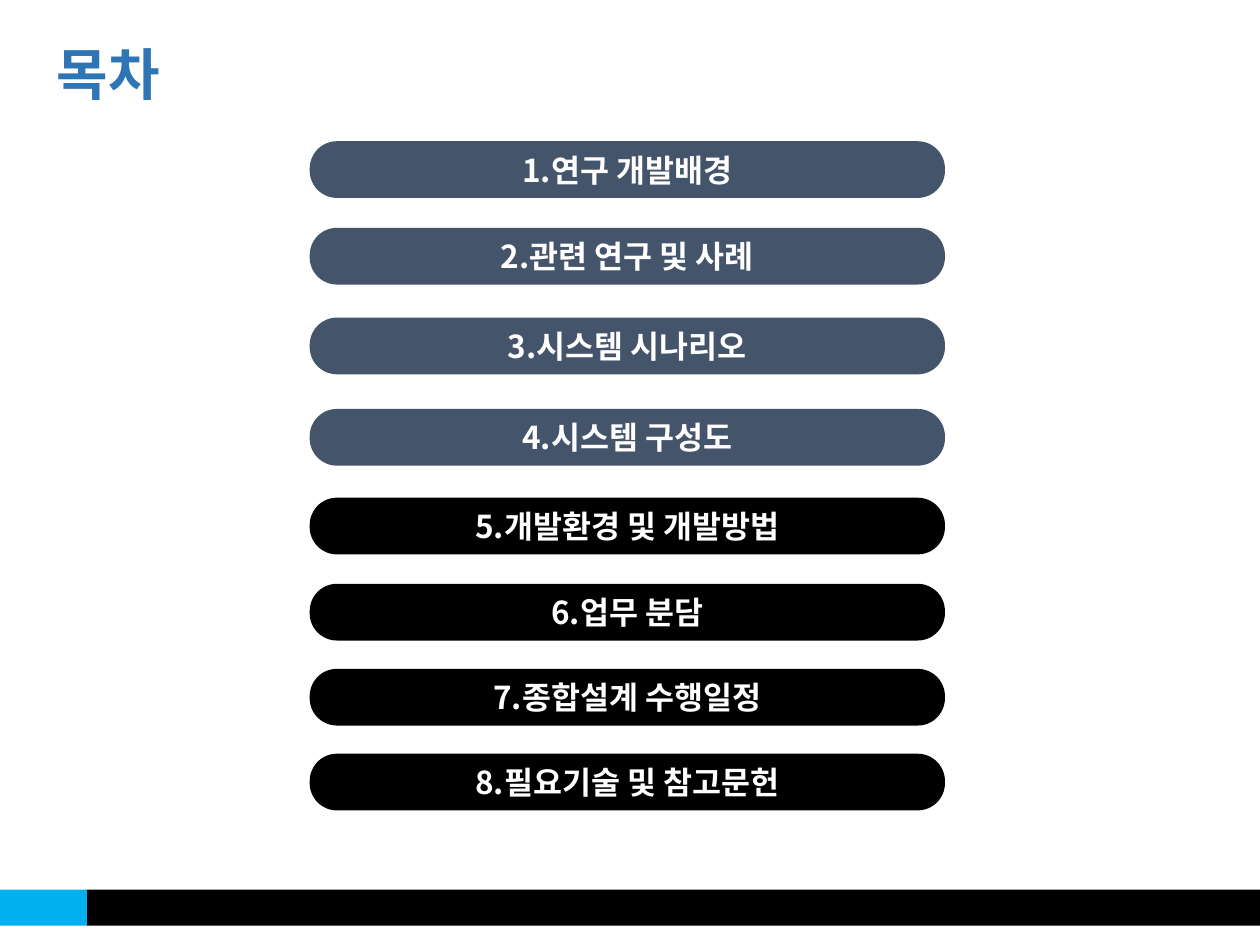
from lxml.etree import SubElement
from pptx import Presentation
from pptx.dml.color import RGBColor
from pptx.enum.shapes import MSO_SHAPE as Shape
from pptx.enum.text import MSO_ANCHOR as Anchor, PP_ALIGN as Align
from pptx.oxml.ns import qn
from pptx.util import Pt

PAGE_WIDTH, PAGE_HEIGHT = 720, 540
SLATE, BLACK, SKY, BLUE, WHITE = "44546A", "000000", "00B0F0", "2E75B6", "FFFFFF"


def color(hex_text):
    return RGBColor.from_string(hex_text)


class SlideBuilder:
    font = "Noto Sans CJK KR"

    def __init__(self, page):
        self.page = page

    def label(self, box, text, size, hex_text, align, anchor):
        frame = box.text_frame
        frame.word_wrap = True
        frame.vertical_anchor = anchor
        para = frame.paragraphs[0]
        para.alignment = align
        span = para.add_run()
        span.text = text
        span.font.name = self.font
        span.font.size = Pt(size)
        span.font.bold = True
        span.font.color.rgb = color(hex_text)
        # Korean glyphs take the East Asian typeface
        SubElement(span.font._element, qn("a:ea"), typeface=self.font)

    def title(self, text, left, top, width, height):
        box = self.page.shapes.title
        box.left, box.top, box.width, box.height = map(Pt, (left, top, width, height))
        self.label(box, text, 32, BLUE, Align.LEFT, Anchor.TOP)
        box.text_frame.paragraphs[0].line_spacing = 1.0
        box.text_frame.paragraphs[0].space_before = Pt(0)

    def block(self, kind, left, top, width, height, fill):
        box = self.page.shapes.add_shape(kind, *map(Pt, (left, top, width, height)))
        box.shadow.inherit = False
        box.fill.solid()
        box.fill.fore_color.rgb = color(fill)
        box.line.fill.background()
        return box

    def pill(self, text, top, fill):
        box = self.block(Shape.ROUNDED_RECTANGLE, 177, top, 363, 32.4, fill)
        box.adjustments[0] = 0.48
        self.label(box, text, 18, WHITE, Align.CENTER, Anchor.MIDDLE)


def main():
    deck = Presentation()
    deck.slide_width, deck.slide_height = Pt(PAGE_WIDTH), Pt(PAGE_HEIGHT)
    builder = SlideBuilder(deck.slides.add_slide(deck.slide_layouts[5]))

    # Footer band
    accent_width = 49.7
    builder.block(Shape.RECTANGLE, accent_width, 508.3, PAGE_WIDTH - accent_width, 20.6, BLACK)
    builder.block(Shape.RECTANGLE, 0, 508.3, accent_width, 20.6, SKY)

    # Heading
    builder.title("목차", 25.2, 18.7, 172.8, 46)

    # Contents: topic and top edge, first half in slate
    topics = [
        ("연구 개발배경", 80.7),
        ("관련 연구 및 사례", 130.2),
        ("시스템 시나리오", 181.5),
        ("시스템 구성도", 233.7),
        ("개발환경 및 개발방법", 284.4),
        ("업무 분담", 333.6),
        ("종합설계 수행일정", 382.2),
        ("필요기술 및 참고문헌", 430.7),
    ]
    for number, (topic, top) in enumerate(topics, start=1):
        builder.pill(f"{number}.{topic}", top, SLATE if number <= 4 else BLACK)

    deck.save("out.pptx")


if __name__ == "__main__":
    main()
